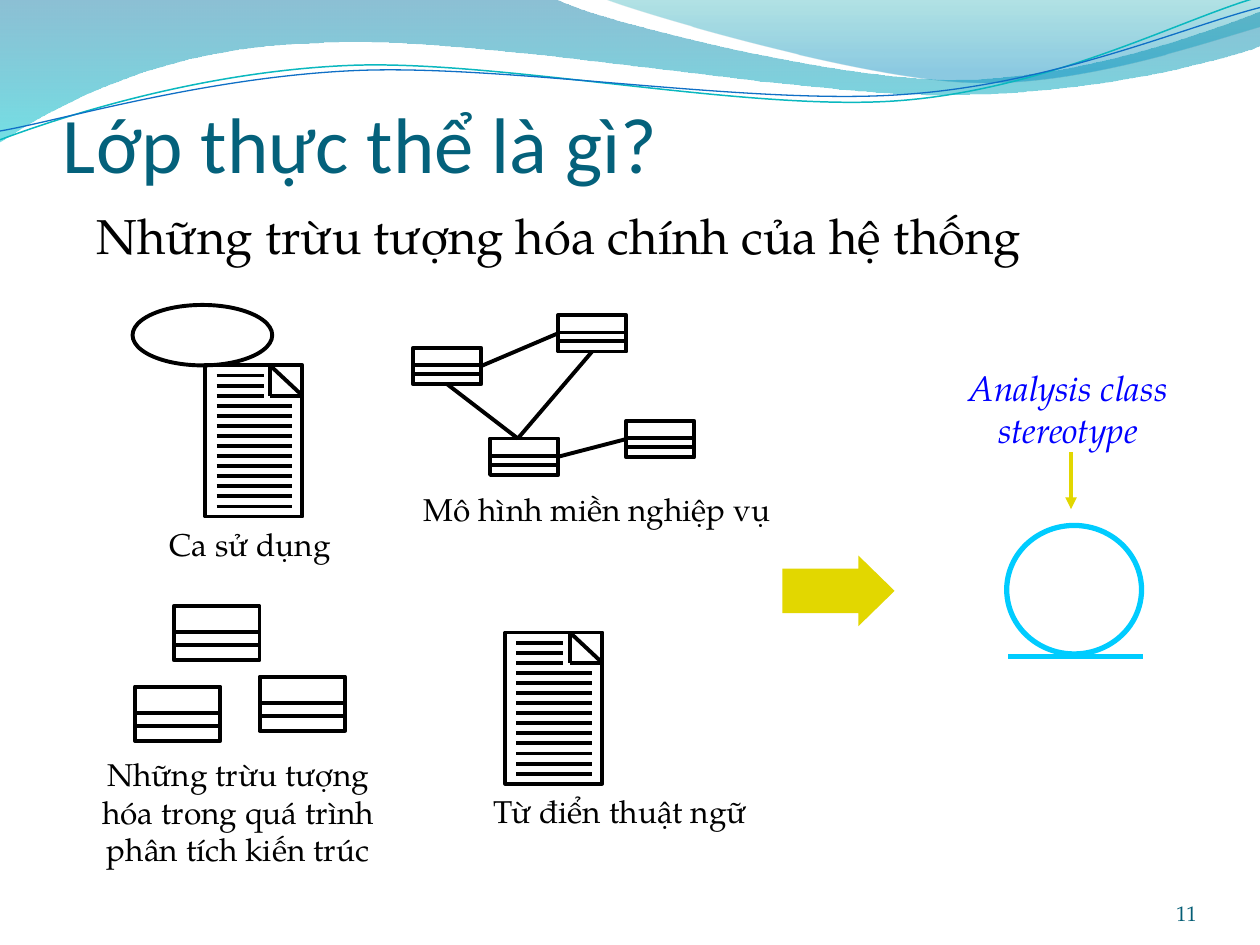
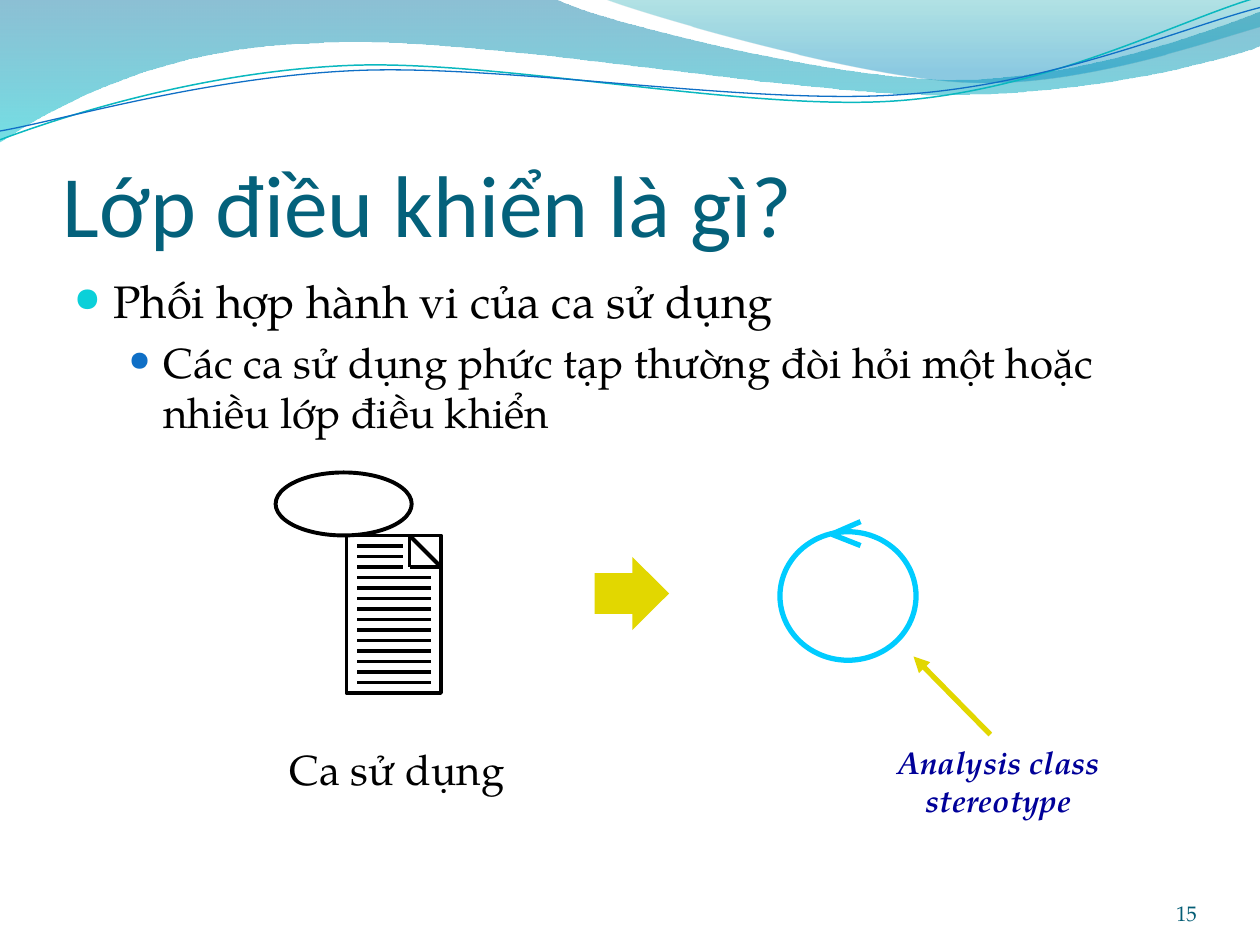
import dataclasses
import pptx
import pptx.dml.color
import pptx.enum.shapes
import pptx.enum.text
import pptx.oxml.ns
import pptx.util
from lxml import etree

Inches = pptx.util.Inches
Pt = pptx.util.Pt
RGB = pptx.dml.color.RGBColor.from_string
SHAPES = pptx.enum.shapes.MSO_SHAPE
ALIGN = pptx.enum.text.PP_ALIGN
ANCHOR = pptx.enum.text.MSO_ANCHOR
qn = pptx.oxml.ns.qn


@dataclasses.dataclass(frozen=True)
class Theme:
    heading_font: str = "Calibri"
    body_font: str = "TeX Gyre Pagella"
    title: str = "04617B"
    number: str = "045D75"
    ink: str = "000000"
    accent: str = "E2D700"
    stereotype: str = "00CCFF"
    bright_note: str = "0000FF"
    dark_note: str = "000099"
    bullets: tuple = ("0BD0D9", "0F6FC6")
    teal_wave: str = "0AB8BF"
    blue_wave: str = "0F6FC6"
    wide_band: tuple = ((0, "0074A1", 45), (1, "00C6CF", 55))
    right_band: tuple = ((0, "00A1A9", 30), (0.8, "008BBF", 45))
    lead_size: int = 28
    bullet_sizes: tuple = (26, 24)
    label_size: int = 18
    note_size: int = 20
    number_size: int = 12
    outline: float = 2.25
    heavy: float = 3


WIDE_BAND = [(0, 0), (4.4, -0.01),
             (4.76, 0.17, 6.64, 0.63, 7.58, 0.63), (8.53, 0.63, 9.58, 0.26, 10, 0.09),
             (10.01, 0.36),
             (9.83, 0.44, 8.7, 0.76, 7.46, 0.75), (6.22, 0.75, 3.82, 0.28, 2.57, 0.34),
             (1.29, 0.36, 0.46, 0.83, -0.01, 1.13), (0, 0)]
RIGHT_BAND = [(4.79, -0.01), (5.09, 0.11, 6.82, 0.62, 7.69, 0.65),
              (8.56, 0.69, 9.61, 0.32, 10, 0.21), (10, 0), (4.79, -0.01)]
TEAL_WAVE = [(0, 1.11), (0.48, 0.93, 1.58, 0.57, 2.77, 0.52),
             (3.95, 0.47, 5.93, 0.89, 7.13, 0.8), (8.33, 0.71, 9.38, 0.15, 9.98, -0.02)]
BLUE_WAVE = [(0, 1.04), (0.47, 0.96, 1.64, 0.61, 2.83, 0.56),
             (4.03, 0.51, 5.97, 0.84, 7.17, 0.75), (8.36, 0.67, 9.41, 0.21, 10, 0.06)]


class Deck:
    def __init__(self, theme):
        self.theme = theme
        self.presentation = pptx.Presentation()
        self.presentation.slide_width = Inches(10)
        self.presentation.slide_height = Inches(7.5)
        self.slide = None

    def new_slide(self, title, title_height, title_size, number):
        theme = self.theme
        self.slide = self.presentation.slides.add_slide(self.presentation.slide_layouts[6])
        self.band(WIDE_BAND, theme.wide_band)
        self.band(RIGHT_BAND, theme.right_band)
        self.wave(TEAL_WAVE, theme.teal_wave, 0.85)
        self.wave(BLUE_WAVE, theme.blue_wave, 0.75)
        self.text(title, 0.5, 0.77, 9, title_height, title_size, theme.title,
                  font=theme.heading_font, align=ALIGN.LEFT, anchor=ANCHOR.BOTTOM,
                  insets=(0, 0.05, 0, 0))
        self.text(number, 8.67, 6.95, 0.83, 0.4, theme.number_size, theme.number,
                  align=ALIGN.RIGHT, anchor=ANCHOR.BOTTOM, insets=(0, 0, 0, 0))

    def freeform(self, segments, close):
        points = [(Inches(segment[i]), Inches(segment[i + 1]))
                  for segment in segments for i in range(0, len(segment), 2)]
        builder = self.slide.shapes.build_freeform(*points[0], scale=1.0)
        builder.add_line_segments(points[1:], close=close)
        curve = builder.convert_to_shape()
        curve.shadow.inherit = False
        steps = iter(list(curve.element.spPr.iter(qn("a:lnTo"))))
        for segment in segments[1:]:
            step = next(steps)
            if len(segment) == 6:
                step.addprevious(bend := etree.Element(qn("a:cubicBezTo")))
                for knot in (step, next(steps), next(steps)):
                    bend.append(knot[0])
                    knot.getparent().remove(knot)
        return curve

    def band(self, segments, stops):
        band = self.freeform(segments, True)
        band.line.fill.background()
        band.fill.gradient()
        band.fill.gradient_angle = 270
        for stop, (position, color, _) in zip(band.fill.gradient_stops, stops):
            stop.position = position
            stop.color.rgb = RGB(color)
        for tint, (_, _, opacity) in zip(band.element.spPr.iter(qn("a:srgbClr")), stops):
            etree.SubElement(tint, qn("a:alpha"), val=str(opacity * 1000))

    def wave(self, segments, color, width):
        wave = self.freeform(segments, False)
        wave.fill.background()
        self.stroke(wave, color, width)

    def stroke(self, shape, color, width):
        shape.line.color.rgb = RGB(color)
        shape.line.width = Pt(width)

    def style(self, paragraph, size, color, font=None, bold=False, italic=False):
        for run in paragraph.runs:
            run.font.name = font or self.theme.body_font
            run.font.size = Pt(size)
            run.font.color.rgb = RGB(color)
            run.font.bold = bold
            run.font.italic = italic

    def frame(self, x, y, w, h, anchor=ANCHOR.TOP, wrap=True, insets=(0.1, 0.05, 0.1, 0.05)):
        frame = self.slide.shapes.add_textbox(
            Inches(x), Inches(y), Inches(w), Inches(h)).text_frame
        frame.word_wrap = wrap
        frame.vertical_anchor = anchor
        (frame.margin_left, frame.margin_top,
         frame.margin_right, frame.margin_bottom) = map(Inches, insets)
        return frame

    def text(self, words, x, y, w, h, size, color, font=None, align=ALIGN.CENTER,
             bold=False, italic=False, **layout):
        frame = self.frame(x, y, w, h, **layout)
        frame.text = words
        frame.paragraphs[0].alignment = align
        self.style(frame.paragraphs[0], size, color, font, bold, italic)

    def note(self, words, x, y, w, h, size, color, **emphasis):
        self.text(words, x, y, w, h, size, color, insets=(0.12, 0.06, 0.12, 0.06), **emphasis)

    def bullets(self, items, x, y, w, h):
        frame = self.frame(x, y, w, h)
        indents = ((0.3, -0.3, 68), (0.7, -0.27, 60))
        for index, (level, words) in enumerate(items):
            paragraph = frame.add_paragraph() if index else frame.paragraphs[0]
            size = self.theme.bullet_sizes[level]
            margin, hanging, percent = indents[level]
            paragraph.text = words
            paragraph.level = level
            paragraph.space_before = Pt(round(size * 0.2))
            self.style(paragraph, size, self.theme.ink)
            properties = paragraph._p.get_or_add_pPr()
            properties.set("marL", str(Inches(margin)))
            properties.set("indent", str(Inches(hanging)))
            tint = etree.SubElement(properties, qn("a:buClr"))
            etree.SubElement(tint, qn("a:srgbClr"), val=self.theme.bullets[level])
            etree.SubElement(properties, qn("a:buSzPct"), val=str(percent * 1000))
            etree.SubElement(properties, qn("a:buFont"), typeface=self.theme.body_font)
            etree.SubElement(properties, qn("a:buChar"), char="●")

    def shape(self, kind, x, y, w, h):
        shape = self.slide.shapes.add_shape(kind, Inches(x), Inches(y), Inches(w), Inches(h))
        shape.shadow.inherit = False
        return shape

    def outline(self, kind, x, y, w, h, color=None, width=None):
        outline = self.shape(kind, x, y, w, h)
        outline.fill.background()
        self.stroke(outline, color or self.theme.ink, width or self.theme.outline)
        return outline

    def block_arrow(self, x, y, w, h, *adjustments):
        arrow = self.shape(SHAPES.RIGHT_ARROW, x, y, w, h)
        arrow.fill.solid()
        arrow.fill.fore_color.rgb = RGB(self.theme.accent)
        arrow.line.fill.background()
        for index, value in enumerate(adjustments):
            arrow.adjustments[index] = value

    def line(self, x1, y1, x2, y2, color=None, width=None, arrow=False):
        line = self.slide.shapes.add_connector(
            pptx.enum.shapes.MSO_CONNECTOR.STRAIGHT,
            Inches(x1), Inches(y1), Inches(x2), Inches(y2))
        self.stroke(line, color or self.theme.ink, width or self.theme.outline)
        properties = line.element.spPr
        if arrow:
            etree.SubElement(properties.find(qn("a:ln")), qn("a:tailEnd"), type="triangle")
        etree.SubElement(properties, qn("a:effectLst"))
        return line

    def class_box(self, x, y, w, h):
        box = self.outline(SHAPES.RECTANGLE, x, y, w, h)
        for share in (0.48, 0.72):
            self.line(x, y + share * h, x + w, y + share * h)
        return box

    def document(self, x, y, w, h):
        self.outline(SHAPES.RECTANGLE, x, y, w, h)
        fold_x, fold_y, right = x + w * 2 / 3, y + 0.2 * h, x + w
        self.line(fold_x, y, right, fold_y)
        self.line(fold_x, y, fold_x, fold_y)
        self.line(right, fold_y, fold_x, fold_y)
        for row in range(1, 15):
            row_y = y + row * h / 15
            self.line(x + 0.115 * w, row_y, x + (0.6 if row <= 3 else 0.89) * w, row_y)

    def use_case(self, x, y, w, h):
        self.outline(SHAPES.OVAL, x - 0.75 * w, y - 0.4 * h, 1.44 * w, 0.4 * h)
        self.document(x, y, w, h)

    def stereotype_circle(self, x, y, w, h):
        self.outline(SHAPES.OVAL, x, y, w, h, self.theme.stereotype, self.theme.heavy)

    def stereotype_line(self, *ends):
        self.line(*ends, self.theme.stereotype, self.theme.heavy)


def entity_slide(deck):
    theme = deck.theme
    deck.new_slide("Lớp thực thể là gì?", 0.73, 45, "11")
    deck.text("Những trừu tượng hóa chính của hệ thống", 0.67, 1.58, 8.25, 0.57,
              theme.lead_size, theme.ink, align=ALIGN.LEFT)
    deck.block_arrow(6.21, 4.41, 0.89, 0.56, 0.631, 0.512)

    west, north, south, east = [
        deck.class_box(x, y, 0.54, 0.29)
        for x, y in ((3.28, 2.76), (4.43, 2.5), (3.89, 3.48), (4.97, 3.34))]
    for left_class, right_class in ((west, north), (south, east)):
        association = deck.line(0, 0, 1, 1)
        association.begin_connect(left_class, 3)
        association.end_connect(right_class, 1)
    for upper_class in (west, north):
        deck.line(3.5, 3, 4.11, 3.48).begin_connect(upper_class, 2)
    deck.text("Mô hình miền nghiệp vụ", 3.25, 3.84, 2.98, 0.39,
              theme.label_size, theme.ink, wrap=False)

    deck.use_case(1.63, 2.9, 0.77, 1.2)
    deck.text("Ca sử dụng", 1.24, 4.12, 1.49, 0.68, theme.label_size, theme.ink)

    for x, y in ((1.38, 4.81), (2.06, 5.37), (1.07, 5.45)):
        deck.class_box(x, y, 0.68, 0.43)
    deck.note("Những trừu tượng hóa trong quá trình phân tích kiến trúc",
              0.5, 5.93, 2.78, 0.99, theme.label_size, theme.ink)

    deck.document(4.01, 5.02, 0.77, 1.2)
    deck.text("Từ điển thuật ngữ", 3.78, 6.24, 2.29, 0.39,
              theme.label_size, theme.ink, wrap=False)

    deck.note("Analysis class stereotype", 7.46, 2.85, 2.04, 0.75,
              theme.note_size, theme.bright_note, italic=True)
    deck.line(8.5, 3.59, 8.5, 4.04, theme.accent, arrow=True)
    deck.stereotype_circle(7.99, 4.17, 1.07, 1.02)
    deck.stereotype_line(8, 5.21, 9.07, 5.21)


def control_slide(deck):
    theme = deck.theme
    deck.new_slide("Lớp điều khiển là gì?", 1.25, 50, "15")
    deck.bullets([(0, "Phối hợp hành vi của ca sử dụng"),
                  (1, "Các ca sử dụng phức tạp thường đòi hỏi một hoặc nhiều lớp điều khiển")],
                 0.5, 2.12, 9, 4.8)
    deck.use_case(2.75, 4.25, 0.75, 1.25)
    deck.text("Ca sử dụng", 2.17, 5.85, 1.96, 0.5, theme.bullet_sizes[1], theme.ink, wrap=False)
    deck.block_arrow(4.72, 4.42, 0.59, 0.58, 0.56, 0.503)

    deck.note("Analysis class stereotype", 6.92, 5.84, 2.01, 0.72,
              theme.label_size, theme.dark_note, bold=True, italic=True)
    deck.line(7.86, 5.83, 7.25, 5.21, theme.accent, theme.heavy, arrow=True)
    deck.stereotype_circle(6.19, 4.22, 1.08, 1.02)
    for barb_y in (4.14, 4.33):
        deck.stereotype_line(6.83, barb_y, 6.6, 4.24)


def main():
    deck = Deck(Theme())
    entity_slide(deck)
    control_slide(deck)
    deck.presentation.save("out.pptx")


if __name__ == "__main__":
    main()
